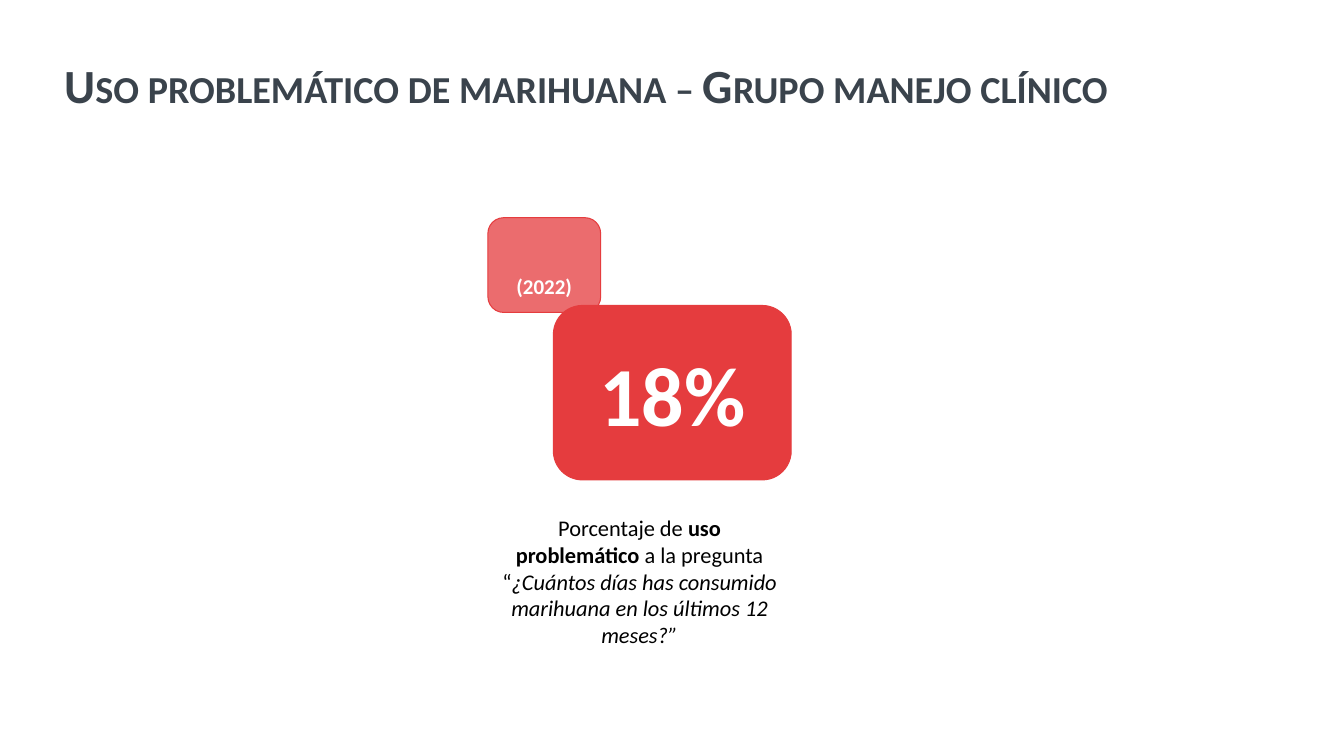
from lxml.etree import SubElement
from pptx import Presentation
from pptx.dml.color import RGBColor as Rgb
from pptx.enum.shapes import MSO_SHAPE as Shape
from pptx.enum.text import MSO_ANCHOR as Anchor, PP_ALIGN as Align
from pptx.oxml.ns import qn
from pptx.util import Pt

HUES = {"title": "3A434C", "red": "E53C3E", "white": "FFFFFF", "black": "000000"}


def add_run(para, text, size, hue, bold=False, italic=False):
    run = para.add_run()
    run.text = text
    font = run.font
    font.name, font.size = "Calibri", Pt(size)
    font.bold, font.italic = bold, italic
    font.color.rgb = Rgb.from_string(HUES[hue])
    return run


deck = Presentation()
deck.slide_width, deck.slide_height = Pt(960), Pt(540)
slide = deck.slides.add_slide(deck.slide_layouts[6])
shapes = slide.shapes

# Title in small capitals
title = shapes.add_textbox(Pt(38.9), Pt(28.8), Pt(916.5), Pt(67.7)).text_frame
title.word_wrap = True
title.vertical_anchor = Anchor.MIDDLE
para = title.paragraphs[0]
para.line_spacing = 0.9
run = add_run(para, "Uso problemático de marihuana – Grupo manejo clínico", 34, "title", bold=True)
run.font._element.set("cap", "small")

# Result card, then the year card: place, text, size, top inset, opacity
cards = [
    ((395.3, 218.2, 169.9, 124.6), "18%", 60, 3.6, 100),
    ((348.5, 155.5, 80.6, 67.7), "(2022)", 15, 34, 75),
]
for place, text, size, inset, alpha in cards:
    card = shapes.add_shape(Shape.ROUNDED_RECTANGLE, *map(Pt, place))
    card.shadow.inherit = False
    card.fill.solid()
    card.fill.fore_color.rgb = card.line.color.rgb = Rgb.from_string(HUES["red"])
    card.line.width = Pt(0.75)
    if alpha < 100:
        tint = card.fill._xPr.find(qn("a:solidFill"))[0]
        SubElement(tint, qn("a:alpha")).set("val", str(alpha * 1000))
    frame = card.text_frame
    frame.word_wrap = True
    frame.vertical_anchor = Anchor.MIDDLE
    frame.margin_top = Pt(inset)
    para = frame.paragraphs[0]
    para.alignment = Align.CENTER
    add_run(para, text, size, "white", bold=True)

# Survey question
note = shapes.add_textbox(Pt(348.5), Pt(363.6), Pt(216.7), Pt(104.4)).text_frame
note.word_wrap = True
para = note.paragraphs[0]
para.alignment = Align.CENTER
for text, bold, italic in [
    ("Porcentaje de ", False, False),
    ("uso problemático", True, False),
    (" a la pregunta “", False, False),
    ("¿Cuántos días has consumido marihuana en los últimos 12 meses?”", False, True),
]:
    add_run(para, text, 16, "black", bold, italic)

deck.save("out.pptx")
